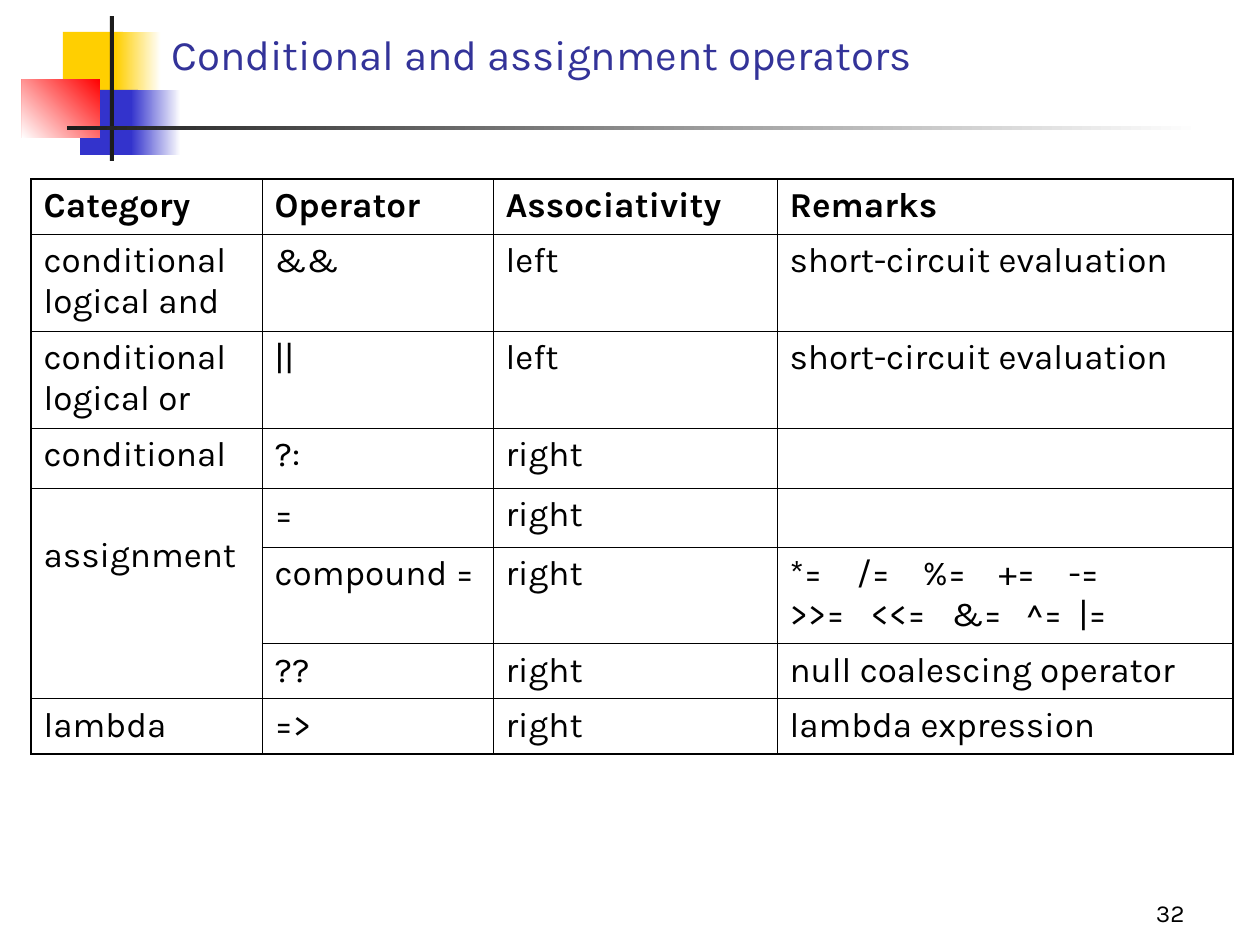
from lxml import etree
from pptx import Presentation
from pptx import util as u
from pptx.dml import color
from pptx.enum import shapes, text
from pptx.oxml import ns

PX = 914400 / 126
FONT = "Karla"
BLACK, WHITE, INK = "000000", "FFFFFF", "1C1C1C"
YELLOW, BLUE, RED = "FFCF01", "3333CC", "FF0000"

# left, top, width, height, colours (two make a gradient), gradient angle
ORNAMENTS = [
    (63, 32, 60, 65, [YELLOW], 0),
    (116, 32, 45, 65, [WHITE, YELLOW], 180),
    (80, 90, 58, 65, [BLUE], 0),
    (131, 90, 50, 65, [WHITE, BLUE], 180),
    (22, 79, 78, 59, [RED, WHITE], 225),
    (110, 16, 4, 145, [INK], 0),
    (67, 126, 1134, 4, [WHITE, INK], 180),
]

TITLE = "Conditional and assignment operators"
PAGE_NUMBER = "32"

ROWS = [
    ("Category", "Operator", "Associativity", "Remarks"),
    ("conditional logical and", "&&", "left", "short-circuit evaluation"),
    ("conditional logical or", "||", "left", "short-circuit evaluation"),
    ("conditional", "?:", "right", ""),
    ("assignment", "=", "right", ""),
    ("", "compound =", "right", "*=\t/=\t%=\t+=\t-=\n>>=\t<<=\t&=\t^=\t|="),
    ("", "??", "right", "null coalescing operator"),
    ("lambda", "=>", "right", "lambda expression"),
]
COLUMN_WIDTHS = [231, 231, 284, 456]
ROW_HEIGHTS = [55, 97, 97, 60, 59, 97, 55, 55]
TABLE_LEFT, TABLE_TOP = 31, 179
ASSIGNMENT_ROWS = (4, 6)
TEXT_LINE = 41
COMPOUND_TABS = [(67, 133, 209, 279), (81, 162, 236, 289)]
OUTER, INNER = 1.08, 0.45


def px(value):
    return u.Emu(round(value * PX))


def rgb(value):
    return color.RGBColor.from_string(value)


def add_span(para, words, size, ink=BLACK, bold=False):
    span = para.add_run()
    span.text = words
    span.font.name = FONT
    span.font.size = u.Pt(size)
    span.font.bold = bold
    span.font.color.rgb = rgb(ink)


def add_ornament(page, left, top, width, height, colours, angle):
    shape = page.shapes.add_shape(shapes.MSO_SHAPE.RECTANGLE,
                                  px(left), px(top), px(width), px(height))
    shape.shadow.inherit = False
    shape.line.fill.background()
    if len(colours) == 1:
        shape.fill.solid()
        shape.fill.fore_color.rgb = rgb(colours[0])
        return
    shape.fill.gradient()
    shape.fill.gradient_angle = angle
    for stop, colour in zip(shape.fill.gradient_stops, colours):
        stop.color.rgb = rgb(colour)


def add_text(page, words, left, top, width, height, size, ink, align):
    box = page.shapes.add_textbox(px(left), px(top), px(width), px(height))
    frame = box.text_frame
    frame.word_wrap = True
    frame.vertical_anchor = text.MSO_ANCHOR.BOTTOM
    para = frame.paragraphs[0]
    para.alignment = align
    add_span(para, words, size, ink)


def set_tabs(para, stops):
    tabs = etree.SubElement(para._p.get_or_add_pPr(), ns.qn("a:tabLst"))
    for stop in stops:
        etree.SubElement(tabs, ns.qn("a:tab"), pos=str(px(stop)), algn="l")


def set_borders(cell, weights):
    """Draw the sides L, R, T and B in the given weights, in points."""
    properties = cell._tc.get_or_add_tcPr()
    for side, weight in zip("LRTB", weights):
        line = etree.SubElement(properties, ns.qn("a:ln" + side), w=str(u.Pt(weight)))
        fill = etree.SubElement(line, ns.qn("a:solidFill"))
        etree.SubElement(fill, ns.qn("a:srgbClr"), val=BLACK)


def fill_cell(cell, words, bold):
    frame = cell.text_frame
    for index, line in enumerate(words.split("\n")):
        para = frame.add_paragraph() if index else frame.paragraphs[0]
        if "\t" in line:
            set_tabs(para, COMPOUND_TABS[index])
        if line:
            add_span(para, line, 20, bold=bold)


def add_operator_table(page):
    frame = page.shapes.add_table(len(ROWS), len(COLUMN_WIDTHS), px(TABLE_LEFT), px(TABLE_TOP),
                                  px(sum(COLUMN_WIDTHS)), px(sum(ROW_HEIGHTS)))
    table = frame.table
    table.first_row = table.horz_banding = False
    for column, width in zip(table.columns, COLUMN_WIDTHS):
        column.width = px(width)
    for row, height in zip(table.rows, ROW_HEIGHTS):
        row.height = px(height)

    last_row, last_column = len(ROWS) - 1, len(COLUMN_WIDTHS) - 1
    for r, row in enumerate(ROWS):
        for c, words in enumerate(row):
            cell = table.cell(r, c)
            at_edge = (c == 0, c == last_column, r == 0, r == last_row)
            set_borders(cell, [OUTER if edge else INNER for edge in at_edge])
            cell.fill.background()
            fill_cell(cell, words, bold=r == 0)

    first, last = ASSIGNMENT_ROWS
    assignment = table.cell(first, 0)
    assignment.merge(table.cell(last, 0))
    assignment.margin_top = u.Inches(0.05) + px(TEXT_LINE)


def main():
    deck = Presentation()
    deck.slide_width, deck.slide_height = u.Inches(10), u.Inches(7.5)
    page = deck.slides.add_slide(deck.slide_layouts[6])
    for ornament in ORNAMENTS:
        add_ornament(page, *ornament)
    add_text(page, TITLE, 159, 23, 1074, 62, 24, "333399", text.PP_ALIGN.LEFT)
    add_operator_table(page)
    add_text(page, PAGE_NUMBER, 1061, 892, 136, 42, 14, BLACK, text.PP_ALIGN.RIGHT)
    deck.save("out.pptx")


if __name__ == "__main__":
    main()
